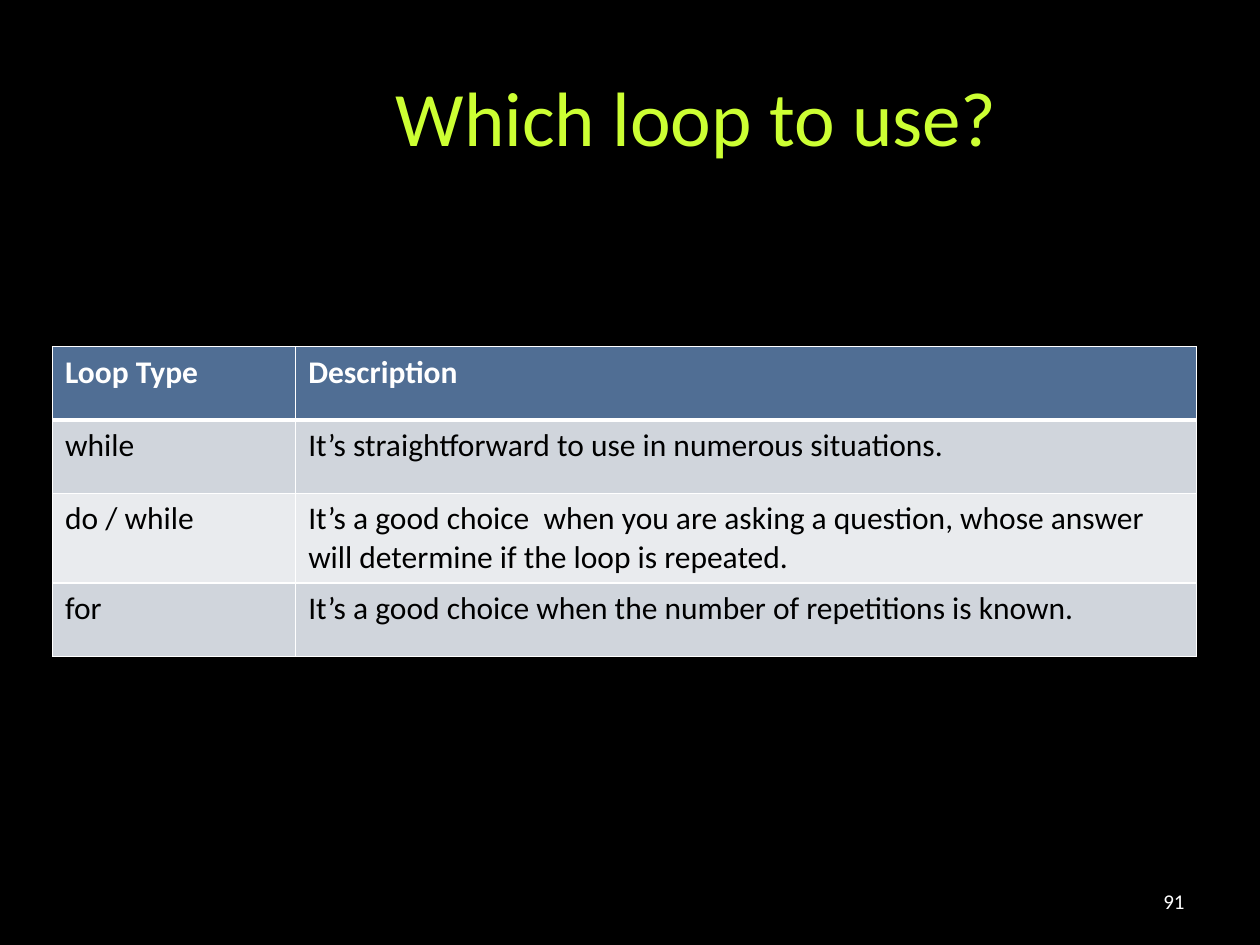
"""Build a slide that compares the three loop types in a table."""
from lxml import etree
from pptx import Presentation
from pptx.dml.color import RGBColor
from pptx.enum.text import MSO_ANCHOR, PP_ALIGN
from pptx.oxml.ns import qn
from pptx.util import Cm, Pt

LEFT, CENTER, RIGHT = PP_ALIGN.LEFT, PP_ALIGN.CENTER, PP_ALIGN.RIGHT
TOP, MIDDLE = MSO_ANCHOR.TOP, MSO_ANCHOR.MIDDLE
FONT = "Calibri"
BLACK, WHITE, LIME = "000000", "FFFFFF", "CCFF33"
HEADER_FILL, BAND_FILLS = "506E94", ("D0D5DC", "E9EBEE")

TITLE = "Which loop to use?"
PAGE_NUMBER = "91"
ROWS = [
    ("Loop Type", "Description"),
    ("while", "It’s straightforward to use in numerous situations."),
    ("do / while", "It’s a good choice  when you are asking a question, "
                   "whose answer will determine if the loop is repeated."),
    ("for", "It’s a good choice when the number of repetitions is known."),
]
COLUMN_WIDTHS = (4.9, 18.16)
ROW_HEIGHT = 1.48


def paint(fill, color):
    fill.solid()
    fill.fore_color.rgb = RGBColor.from_string(color)


def write(frame, text, size=18, color=BLACK, bold=False, align=LEFT,
          anchor=TOP, spacing=None):
    frame.word_wrap = True
    frame.vertical_anchor = anchor
    para = frame.paragraphs[0]
    para.alignment = align
    if spacing:
        para.line_spacing = Pt(spacing)
    span = para.add_run()
    span.text = text
    span.font.name = FONT
    span.font.size = Pt(size)
    span.font.bold = bold
    span.font.color.rgb = RGBColor.from_string(color)


def place(shape, left, top, width, height):
    shape.left, shape.top = Cm(left), Cm(top)
    shape.width, shape.height = Cm(width), Cm(height)


def add_borders(cell, widths):
    properties = cell._tc.get_or_add_tcPr()
    for side, width in widths.items():
        line = etree.SubElement(properties, qn(f"a:ln{side}"), w=str(Pt(width)))
        fill = etree.SubElement(line, qn("a:solidFill"))
        etree.SubElement(fill, qn("a:srgbClr"), val=WHITE)


def add_loop_table(page):
    table = page.shapes.add_table(
        len(ROWS), len(COLUMN_WIDTHS), Cm(1.06), Cm(6.99),
        Cm(sum(COLUMN_WIDTHS)), Cm(ROW_HEIGHT * len(ROWS))).table
    for column, width in zip(table.columns, COLUMN_WIDTHS):
        column.width = Cm(width)
    for row_index, texts in enumerate(ROWS):
        header = row_index == 0
        table.rows[row_index].height = Cm(ROW_HEIGHT)
        for column_index, text in enumerate(texts):
            cell = table.cell(row_index, column_index)
            add_borders(cell, {"L": 1, "R": 1, "T": 3 if row_index == 1 else 1,
                               "B": 3 if header else 1})
            paint(cell.fill, HEADER_FILL if header else BAND_FILLS[(row_index - 1) % 2])
            write(cell.text_frame, text, bold=header, color=WHITE if header else BLACK)


def main():
    deck = Presentation()
    deck.slide_width, deck.slide_height = Cm(25.4), Cm(19.05)
    page = deck.slides.add_slide(deck.slide_layouts[5])
    paint(page.background.fill, BLACK)

    title = page.shapes.title
    place(title, 3.96, 0.76, 20.17, 3.18)
    write(title.text_frame, TITLE, size=44, color=LIME, align=CENTER,
          anchor=MIDDLE, spacing=52)

    add_loop_table(page)

    number = page.shapes.add_textbox(Cm(18.21), Cm(17.65), Cm(5.92), Cm(1.02))
    write(number.text_frame, PAGE_NUMBER, size=12, color=WHITE, align=RIGHT, anchor=MIDDLE)

    deck.save("out.pptx")


if __name__ == "__main__":
    main()
